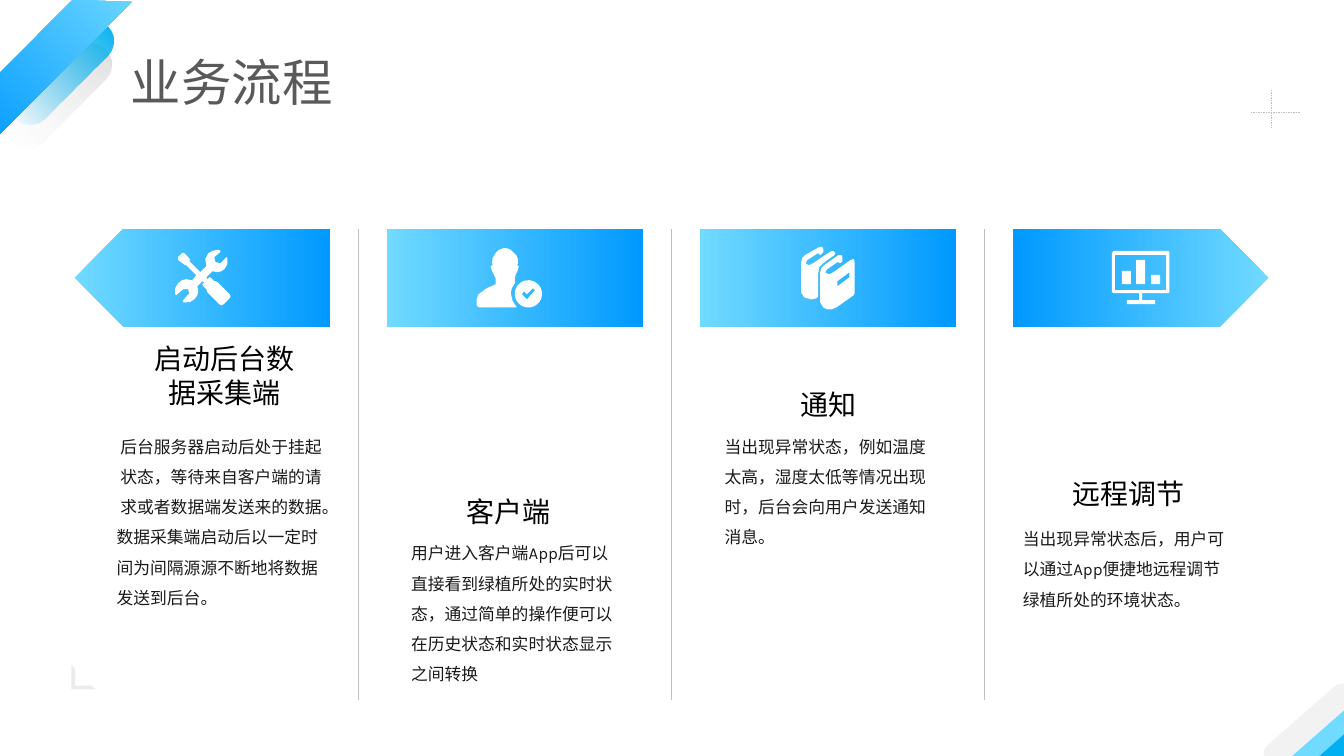
import math

from lxml import etree
from pptx import Presentation
from pptx import util as u
from pptx.dml.color import RGBColor
from pptx.enum import dml, shapes, text
from pptx.oxml.ns import qn

SHAPE = shapes.MSO_SHAPE
ALIGN = text.PP_ALIGN


def rgb(value):
    return RGBColor.from_string(value)


def box(left, top, right, bottom):
    return [(left, top), (right, top), (right, bottom), (left, bottom)]


def circle(x, y, radius, steps=48):
    angles = [2 * math.pi * i / steps for i in range(steps)]
    return [(x + radius * math.cos(a), y + radius * math.sin(a)) for a in angles]


TOOLS = [[
    (55, 44), (43, 32), (41, 31), (40, 31), (37, 28), (35, 27), (33, 29), (32, 27),
    (38, 21), (42, 22), (46, 21.5), (50, 19), (53, 14), (53, 8), (52, 7), (51, 8),
    (46, 13), (45, 13), (41, 12), (40, 8), (40, 7), (46, 2), (46, 1), (45, 0),
    (42, 0), (38, 1), (34, 3), (31, 9), (32, 16), (26, 22), (15, 11), (16, 10),
    (14, 7), (10, 3), (8, 3), (4, 7), (4, 10), (8, 13), (11, 15), (12, 15),
    (22, 25), (18, 30), (17, 30), (12, 29), (8, 30), (4, 33), (1, 38), (1, 44),
    (2, 45), (3, 44), (9, 39), (10, 39), (14, 39), (15, 44), (14, 44), (9, 50),
    (9, 52), (12, 52), (16, 51.5), (20, 49), (23, 45), (24, 41), (23, 36), (28, 31),
    (30, 32), (28, 34), (29, 36), (32, 39), (33, 42), (45, 54), (47, 55), (49, 54),
    (55, 48), (56, 46),
]]
USER = [
    [(56, 40), (50, 46), (47, 43), (45, 46), (50, 51), (58, 42)],
    circle(51.5, 45.5, 13.5),
    [(27, 0), (31, 0.5), (34, 2), (37, 5), (40, 8), (41, 11), (41, 16), (40, 17),
     (42, 18), (41, 22), (39, 26), (38, 30), (38, 35), (35, 40), (34, 45), (36, 53),
     (40, 59), (3, 59), (1, 58), (0, 56), (0, 51), (2, 46), (10, 40), (19, 36),
     (19, 30), (17, 26), (15, 22), (14, 18), (16, 17), (15.5, 14), (16, 10), (19, 5),
     (22, 2)],
]
BOOKS = [
    [(17, 27), (17, 50), (15, 52), (10, 53), (3, 51), (0, 46), (0, 17), (1, 12),
     (4, 9), (18, 1), (21, 1), (22, 3), (22, 6), (19, 9), (17, 7), (6, 14),
     (5, 16), (5, 18), (8, 19), (12, 17), (30, 5), (32, 5), (34, 7), (33, 9),
     (22, 17), (18, 21)],
    [(53, 15), (53, 47), (52, 49), (35, 61), (30, 63), (26, 63), (22, 61), (19, 56),
     (19, 26), (20, 22), (23, 19), (37, 9), (40, 9), (41, 11), (41, 15), (39, 17),
     (36, 16), (26, 23), (24, 26), (25, 27), (28, 28), (32, 26), (49, 14), (52, 13)],
    [(48, 26), (36, 35), (36, 40), (48, 31)],
]
MONITOR = [
    box(39, 24, 48, 33), box(10, 20, 19, 33), box(24, 9, 33, 33), box(3, 4, 54, 39),
    [(2, 0), (56, 0), (57, 2), (57, 41), (56, 42), (30, 42), (30, 49), (43, 49),
     (43, 53), (15, 53), (15, 49), (27, 49), (27, 42), (2, 42), (0, 41), (0, 2)],
]


class Deck:
    font = "Karla"
    light, dark, cyan = "71DAFF", "0099FF", "00B0F0"
    pale, grey, white = "F2F2F2", "BFBFBF", "FFFFFF"

    def __init__(self):
        self.prs = Presentation()
        self.prs.slide_width, self.prs.slide_height = u.Cm(33.87), u.Cm(19.05)
        self.slide = self.prs.slides.add_slide(self.prs.slide_layouts[6])

    def finish(self, s, colors, alphas=()):
        s.shadow.inherit = False
        s.line.fill.background()
        if len(colors) == 1:
            s.fill.solid()
            s.fill.fore_color.rgb = rgb(colors[0])
        else:
            s.fill.gradient()
            s.fill.gradient_angle = 180
            for stop, color in zip(s.fill.gradient_stops, colors):
                stop.color.rgb = rgb(color)
        for clr, alpha in zip(s.element.spPr.iter(qn("a:srgbClr")), alphas):
            etree.SubElement(clr, qn("a:alpha")).set("val", str(alpha * 1000))

    def shape(self, kind, at, colors, rot=0, adj=(), alphas=(), flip=False, group=None):
        parent = group or self.slide
        s = parent.shapes.add_shape(kind, *map(u.Cm, at))
        s.rotation = rot
        for i, value in enumerate(adj):
            s.adjustments[i] = value
        if flip:
            s.element.spPr.xfrm.set("flipH", "1")
        self.finish(s, colors, alphas)

    def icon(self, x, y, contours):
        builder = self.slide.shapes.build_freeform(
            *(v * 10 for v in contours[0][0]), scale=u.Cm(0.00254))
        for i, contour in enumerate(contours):
            points = [(px * 10, py * 10) for px, py in contour]
            if i:
                builder.move_to(*points[0])
            builder.add_line_segments(points[1:], close=True)
        self.finish(builder.convert_to_shape(u.Cm(x), u.Cm(y)), [self.white])

    def line(self, x1, y1, x2, y2, dashed=False):
        s = self.slide.shapes.add_connector(
            shapes.MSO_CONNECTOR.STRAIGHT, *map(u.Cm, (x1, y1, x2, y2)))
        s.line.color.rgb = rgb(self.grey)
        s.line.width = u.Pt(0.25)
        if dashed:
            s.line.dash_style = dml.MSO_LINE.DASH
        etree.SubElement(s.element.spPr, qn("a:effectLst"))

    def text(self, at, paragraphs, size, color, spacing=None):
        s = self.slide.shapes.add_textbox(*map(u.Cm, at))
        tf = s.text_frame
        tf.word_wrap = True
        tf.auto_size = text.MSO_AUTO_SIZE.SHAPE_TO_FIT_TEXT
        for i, (align, words) in enumerate(paragraphs):
            p = tf.add_paragraph() if i else tf.paragraphs[0]
            p.alignment = align
            if spacing:
                p.line_spacing = spacing
            r = p.add_run()
            r.text = words
            r.font.size, r.font.name = u.Pt(size), self.font
            r.font.color.rgb = rgb(color)


def decorate(d):
    for top, colors, alphas, left in ((1.9, ["D9D9D9", d.pale], (91, 0), -0.15),
                                      (1.3, [d.cyan, d.cyan], (100, 0), -0.1)):
        d.shape(SHAPE.ROUNDED_RECTANGLE, (left, top, 3.28, 1.04), colors, 315, [0.5], alphas)
    d.text((3.05, 1.17, 10.87, 1.8), [(ALIGN.JUSTIFY, "业务流程")], 36, "595959")
    d.line(31.52, 2.82, 32.77, 2.82, dashed=True)
    d.shape(SHAPE.HALF_FRAME, (1.8, 16.76, 0.61, 0.61), [d.grey], 270, [0.152, 0.152], [30])
    d.line(32.03, 2.26, 32.03, 3.23, dashed=True)
    corner = d.slide.shapes.add_group_shape()
    for at, color in (((32.28, 18.59, 2.51, 0.74), d.cyan),
                      ((31.88, 18.29, 2.84, 0.61), d.light),
                      ((31.57, 17.96, 2.84, 0.61), d.pale)):
        d.shape(SHAPE.ROUNDED_RECTANGLE, at, [color], 138.8, [0.5], group=corner)
    d.shape(SHAPE.TRAPEZOID, (-1.22, 0.84, 4.88, 1.09), [d.light, d.dark], 315, [0.942])


def main():
    d = Deck()
    decorate(d)
    pitch, top = 7.88, 5.77
    steps = [
        (SHAPE.PENTAGON, TOOLS, (4.39, 6.3), (3.3, 8.48, 4.7, 1.96), "启动后台数据采集端",
         (2.69, 10.62, 5.77, 4.78),
         [(ALIGN.CENTER, "后台服务器启动后处于挂起状态，等待来自客户端的请求或者数据端发送来的数据。"),
          (None, "数据采集端启动后以一定时间为间隔源源不断地将数据发送到后台。")]),
        (SHAPE.RECTANGLE, USER, (12.01, 6.25), (11.18, 12.34, 3.28, 1.12), "客户端",
         (10.11, 13.31, 5.77, 4.01),
         [(None, "用户进入客户端App后可以直接看到绿植所处的实时状态，通过简单的操作便可以在历史状态和实时状态显示之间转换")]),
        (SHAPE.RECTANGLE, BOOKS, (20.19, 6.2), (19.23, 9.65, 3.28, 1.12), "通知",
         (18.01, 10.62, 5.77, 3.25),
         [(None, "当出现异常状态，例如温度太高，湿度太低等情况出现时，后台会向用户发送通知消息。")]),
        (SHAPE.PENTAGON, MONITOR, (28.02, 6.32), (25.86, 11.89, 5.16, 1.12), "远程调节",
         (25.53, 12.95, 5.77, 2.46),
         [(None, "当出现异常状态后，用户可以通过App便捷地远程调节绿植所处的环境状态。")]),
    ]
    last = len(steps) - 1
    for i, (kind, icon, icon_at, title_at, title, body_at, body) in enumerate(steps):
        d.shape(kind, (1.88 + i * pitch, top, 6.45, 2.46), [d.light, d.dark], flip=i < last)
        d.icon(*icon_at, icon)
        if i < last:
            d.line(9.04 + i * pitch, top, 9.04 + i * pitch, 17.65)
        d.text(title_at, [(ALIGN.CENTER, title)], 20, "000000")
        d.text(body_at, body, 12, "1A1A1A", 1.5)
    d.prs.save("out.pptx")


if __name__ == "__main__":
    main()
